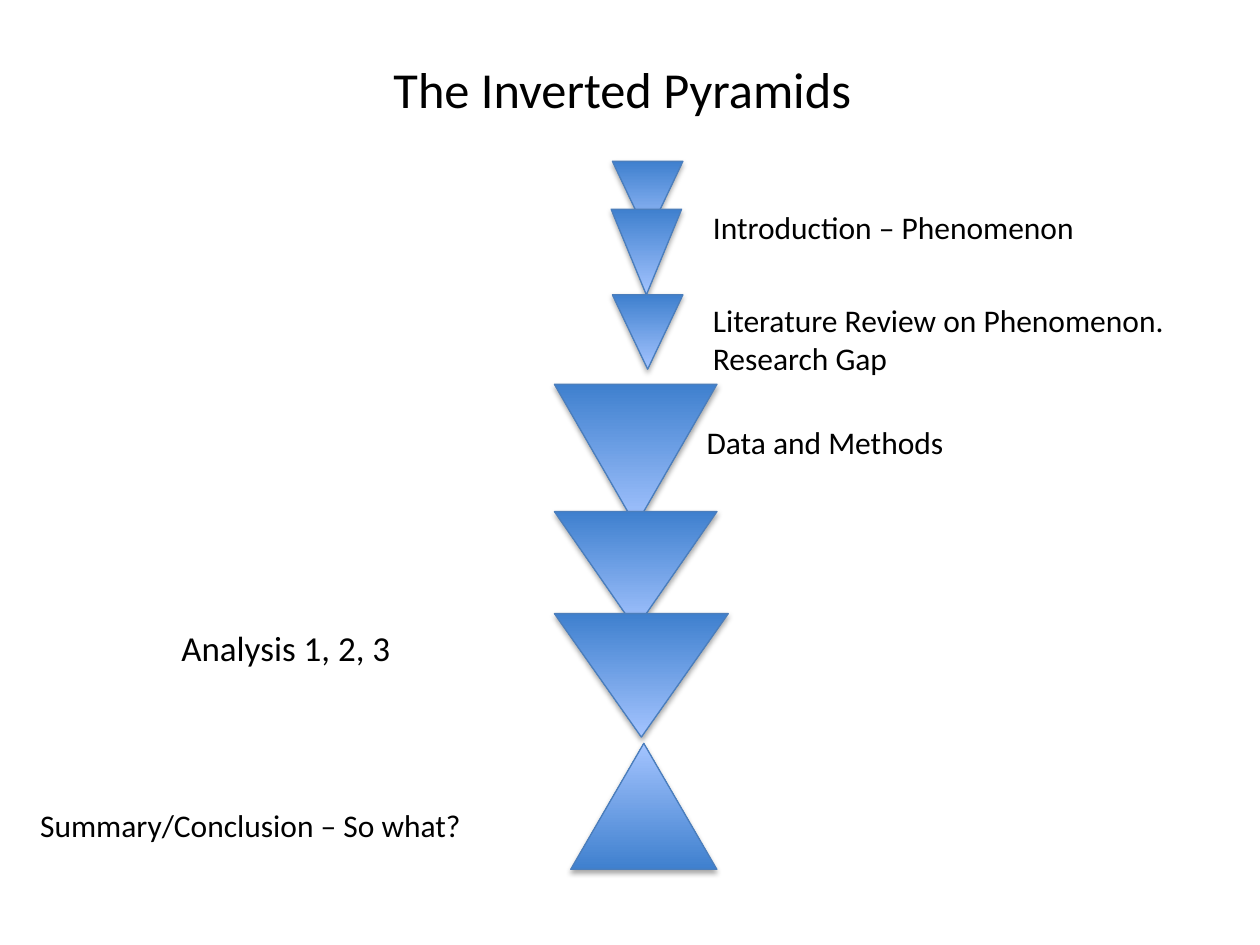
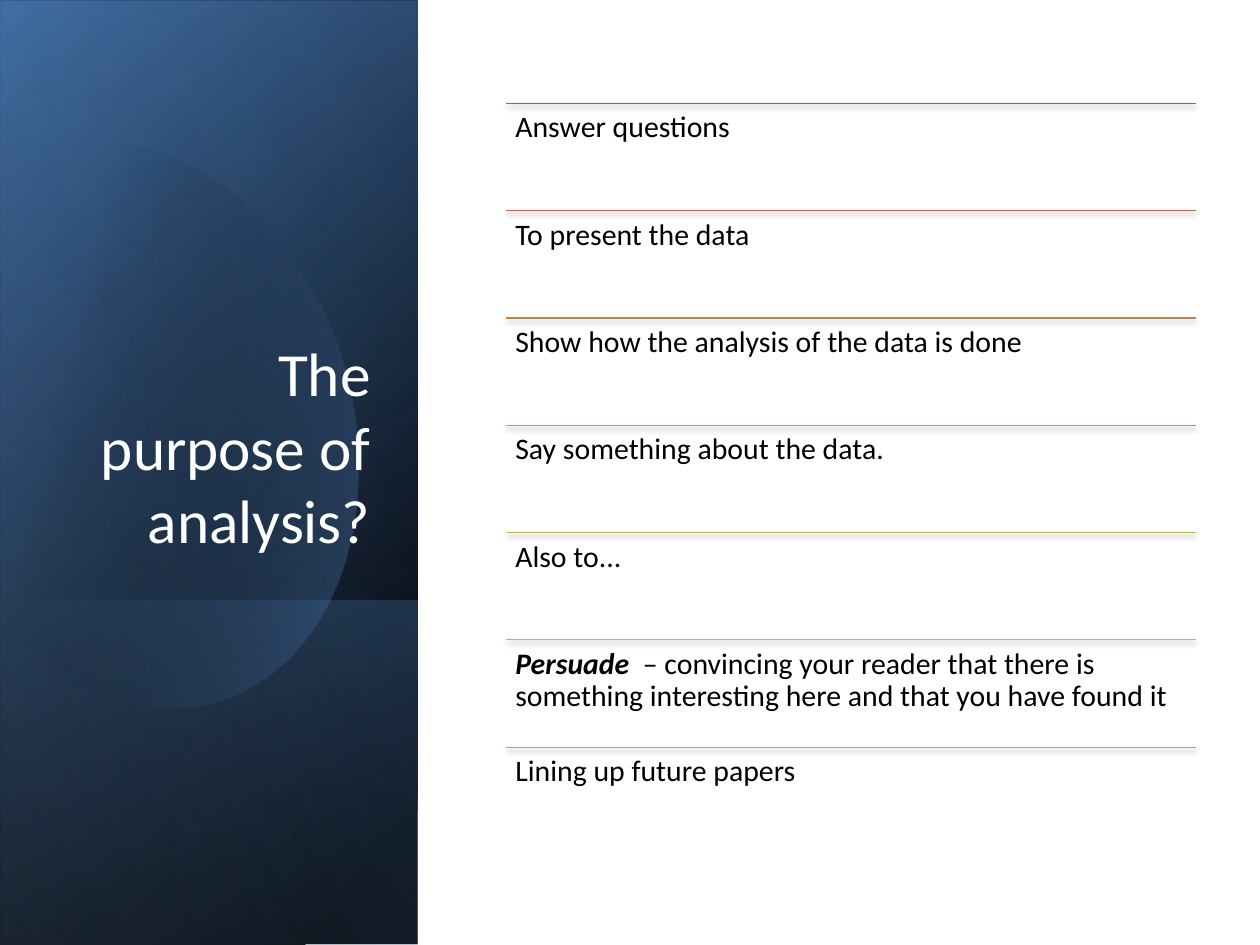
"""Build two slides on research papers: the inverted pyramids and the purpose of analysis."""
from dataclasses import dataclass

from lxml import etree
from pptx import Presentation
from pptx.dml.color import RGBColor
from pptx.enum.shapes import MSO_CONNECTOR, MSO_SHAPE
from pptx.enum.text import MSO_ANCHOR, PP_ALIGN
from pptx.oxml import parse_xml
from pptx.util import Inches, Pt

TRI, RECT = MSO_SHAPE.ISOSCELES_TRIANGLE, MSO_SHAPE.RECTANGLE
LINE = MSO_CONNECTOR.STRAIGHT
TOP, MID, LOW = MSO_ANCHOR.TOP, MSO_ANCHOR.MIDDLE, MSO_ANCHOR.BOTTOM
LEFT, MIDST, RIGHT = PP_ALIGN.LEFT, PP_ALIGN.CENTER, PP_ALIGN.RIGHT
FONT = "Calibri"
NS = "http://schemas.openxmlformats.org/drawingml/2006/main"
HEX = {
    "black": "000000", "white": "FFFFFF", "edge": "4B7EBC",
    "deep": "3F80CE", "pale": "A4C4FF",
    "navy": "376092", "blue": "4F81BD", "mist": "95B3D7",
    "red": "C0504D", "rust": "BF6A4F", "brown": "BE8351", "tan": "BD9B53",
    "gold": "BDB255", "lime": "B1BC57", "green": "9BBB59",
}


@dataclass(frozen=True)
class Box:
    x: float
    y: float
    w: float
    h: float

    def size(self) -> tuple:
        return tuple(Inches(v) for v in (self.x, self.y, self.w, self.h))


@dataclass(frozen=True)
class Stop:
    pos: int
    hue: str
    alpha: int = 100


@dataclass(frozen=True)
class Blend:
    start: Stop
    end: Stop
    angle: float


@dataclass(frozen=True)
class Run:
    text: str
    strong: bool = False


@dataclass(frozen=True)
class Label:
    box: Box
    text: str
    size: float = 18


@dataclass(frozen=True)
class Pane:
    box: Box
    blend: Blend


@dataclass(frozen=True)
class Point:
    hue: str
    runs: tuple


STEEL = Blend(Stop(0, "deep"), Stop(100, "pale"), 270)
CONES = (
    Box(4.86, 1.28, 0.56, 0.59), Box(4.85, 1.66, 0.56, 0.68),
    Box(4.4, 3.05, 1.29, 1.12), Box(4.4, 4.06, 1.29, 0.93),
    Box(4.86, 2.34, 0.56, 0.59), Box(4.4, 4.87, 1.38, 0.98),
)
BASE = Box(4.53, 5.9, 1.16, 1)
LABELS = (
    Label(Box(5.56, 1.6, 3.59, 0.4), "Introduction – Phenomenon"),
    Label(Box(5.56, 2.34, 3.94, 0.71), "Literature Review on Phenomenon. Research Gap"),
    Label(Box(5.51, 3.31, 3.26, 0.4), "Data and Methods"),
    Label(Box(1.34, 4.92, 2.88, 0.44), "Analysis 1, 2, 3", 20),
    Label(Box(0.22, 6.35, 4.18, 0.4), "Summary/Conclusion – So what?"),
)

SIDE = Box(-2.09, 2.09, 7.5, 3.31)
PANES = (
    Pane(SIDE, Blend(Stop(8, "black"), Stop(100, "navy"), 50)),
    Pane(Box(-2.09, 2.11, 7.5, 3.31), Blend(Stop(0, "black", 0), Stop(99, "blue", 46), 30)),
    Pane(Box(0.29, 4.48, 2.74, 3.31), Blend(Stop(2, "blue", 29), Stop(100, "black", 30), 130)),
)
GLOSS = Pane(SIDE, Blend(Stop(0, "black", 0), Stop(99, "mist", 11), 120))
GLOW = Blend(Stop(29, "black", 0), Stop(100, "blue", 43), 13.9)
START = (0.96, 1.14)
CURVES = (
    ((1.71, 1.22), (2.44, 1.92), (2.73, 2.9)),
    ((3.07, 4.12), (2.62, 5.31), (1.71, 5.57)),
    ((1.14, 5.74), (0.53, 5.5), (0.07, 5)),
    ((-0.03, 4.88), (-0.25, 1.66), (-0.15, 1.54)),
    ((0.02, 1.37), (0.22, 1.25), (0.45, 1.18)),
    ((0.62, 1.13), (0.79, 1.12), START),
)
FLAT = 3
STEPS = 16

POINTS = (
    Point("red", (Run("Answer questions"),)),
    Point("rust", (Run("To present the data"),)),
    Point("brown", (Run("Show how the analysis of the data is done"),)),
    Point("tan", (Run("Say something about the data."),)),
    Point("gold", (Run("Also to..."),)),
    Point("lime", (
        Run("Persuade ", True),
        Run(" – convincing your reader that there is something interesting here "
            "and that you have found it"),
    )),
    Point("green", (Run("Lining up future papers"),)),
)
LIST = Box(4.02, 0.82, 5.47, 5.11)


def tint(name: str) -> RGBColor:
    return RGBColor.from_string(HEX[name])


def blend(shape, mix: Blend) -> None:
    stops = "".join(
        f'<a:gs pos="{s.pos * 1000}"><a:srgbClr val="{HEX[s.hue]}">'
        f'<a:alpha val="{s.alpha * 1000}"/></a:srgbClr></a:gs>'
        for s in (mix.start, mix.end)
    )
    shape.fill.background()
    props = shape._element.spPr
    props.replace(props.find(f"{{{NS}}}noFill"), parse_xml(
        f'<a:gradFill xmlns:a="{NS}" rotWithShape="1"><a:gsLst>{stops}</a:gsLst>'
        f'<a:lin ang="{round(mix.angle * 60000)}" scaled="0"/></a:gradFill>'
    ))


def shade(shape) -> None:
    props = shape._element.spPr
    list_tag = etree.SubElement(props, f"{{{NS}}}effectLst")
    list_tag.append(parse_xml(
        f'<a:outerShdw xmlns:a="{NS}" blurRad="{Pt(3.1)}" dist="{Pt(1.8)}" '
        f'dir="5400000" rotWithShape="0"><a:srgbClr val="{HEX["black"]}">'
        '<a:alpha val="35000"/></a:srgbClr></a:outerShdw>'
    ))


def stroke(shape, hue: str) -> None:
    shape.line.color.rgb = tint(hue)
    shape.line.width = Pt(0.75)
    shade(shape)


def write(slide, box: Box, runs: tuple, size: float, hue: str = "black",
          align=LEFT, anchor=TOP):
    frame = slide.shapes.add_textbox(*box.size()).text_frame
    frame.word_wrap = True
    frame.vertical_anchor = anchor
    para = frame.paragraphs[0]
    para.alignment = align
    for part in runs:
        run = para.add_run()
        run.text = part.text
        font = run.font
        font.name, font.size = FONT, Pt(size)
        font.color.rgb = tint(hue)
        font.bold = font.italic = part.strong
    return frame


def cone(slide, box: Box, turn: int = 0) -> None:
    shape = slide.shapes.add_shape(TRI, *box.size())
    shape.rotation = turn
    blend(shape, STEEL)
    stroke(shape, "edge")


def pane(slide, item: Pane) -> None:
    shape = slide.shapes.add_shape(RECT, *item.box.size())
    shape.rotation = 90
    shape._element.spPr.xfrm.set("flipH", "1")
    blend(shape, item.blend)
    shape.line.fill.background()
    shape.shadow.inherit = False


def bend(a: tuple, b: tuple, c: tuple, d: tuple) -> list:
    spots = []
    for step in range(1, STEPS + 1):
        t = step / STEPS
        u = 1 - t
        spots.append(tuple(
            u**3 * p + 3 * u * u * t * q + 3 * u * t * t * r + t**3 * s
            for p, q, r, s in zip(a, b, c, d)
        ))
    return spots


def glow(slide) -> None:
    spots, last = [], START
    for index, curve in enumerate(CURVES):
        spots += curve if index == FLAT else bend(last, *curve)
        last = curve[-1]
    form = slide.shapes.build_freeform(*(Inches(v) for v in START))
    form.add_line_segments([(Inches(x), Inches(y)) for x, y in spots], close=True)
    shape = form.convert_to_shape()
    blend(shape, GLOW)
    shape.line.fill.background()
    shape.shadow.inherit = False


def point(slide, item: Point, y: float, pitch: float) -> None:
    ends = (LIST.x, y, LIST.x + LIST.w, y)
    rule = slide.shapes.add_connector(LINE, *(Inches(v) for v in ends))
    stroke(rule, item.hue)
    frame = write(slide, Box(LIST.x, y, LIST.w, pitch), item.runs, 17)
    frame.margin_left = frame.margin_right = Inches(0.07)
    frame.margin_top = frame.margin_bottom = Inches(0.07)
    para = frame.paragraphs[0]
    para.line_spacing = 0.9
    para.space_after = Pt(6)


def draw_cones(slide) -> None:
    write(slide, Box(0.44, 0.38, 9, 0.64), (Run("The Inverted Pyramids"),), 28.8,
          align=MIDST, anchor=MID)
    for box in CONES:
        cone(slide, box, 180)
    cone(slide, BASE)
    for label in LABELS:
        write(slide, label.box, (Run(label.text),), label.size)


def draw_points(slide) -> None:
    for item in PANES:
        pane(slide, item)
    glow(slide)
    pane(slide, GLOSS)
    write(slide, Box(0.48, 1.84, 2.56, 2.62), (Run("The purpose of analysis?"),), 35,
          "white", RIGHT, LOW)
    pitch = LIST.h / (len(POINTS) - 1)
    for index, item in enumerate(POINTS):
        point(slide, item, LIST.y + index * pitch, pitch)


def main() -> None:
    deck = Presentation()
    deck.slide_width, deck.slide_height = Inches(10), Inches(7.5)
    for draw in (draw_cones, draw_points):
        draw(deck.slides.add_slide(deck.slide_layouts[6]))
    deck.save("out.pptx")


if __name__ == "__main__":
    main()
